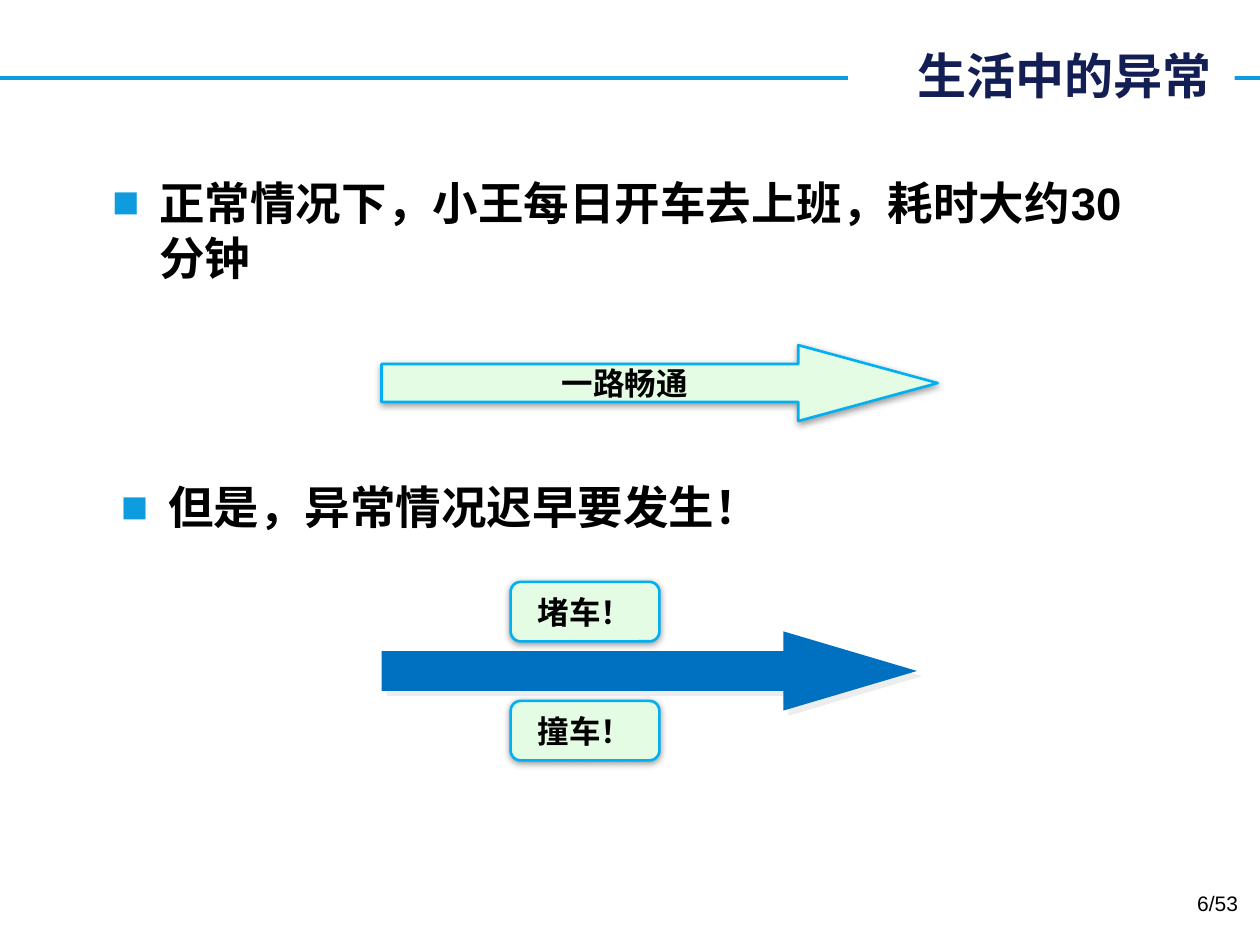
from lxml.etree import SubElement
from pptx import Presentation
from pptx.dml.color import RGBColor
from pptx.enum.shapes import MSO_CONNECTOR as Connector
from pptx.enum.shapes import MSO_SHAPE as Shape
from pptx.enum.text import MSO_ANCHOR as Anchor
from pptx.enum.text import PP_ALIGN as Align
from pptx.oxml.ns import qn
from pptx.util import Pt

COLORS = {
    "background": "FFFFFF",
    "rule": "0E9CDE",
    "title": "121E54",
    "text": "000000",
    "mint": "E4FCE4",
    "outline": "00B0F0",
    "blue": "0070C0",
    "gray": "DDDDDD",
}
CJK_FONT = "Noto Sans CJK SC"
TITLE = {"size": Pt(28), "bold": True, "name": CJK_FONT}
BODY = {"size": Pt(26), "bold": True, "name": "Arial"}
LABEL = {"size": Pt(18), "bold": True, "name": "Arial"}
PAGE = {"size": Pt(12), "bold": False, "name": "Arial"}
SOFT_SHADOW = {"color": "text", "opacity": 40, "blur": 4, "distance": 1, "angle": 90}
HARD_SHADOW = {"color": "gray", "opacity": 50, "blur": 0, "distance": 4.2, "angle": 45}


def rgb(name):
    return RGBColor.from_string(COLORS[name])


def write(shape, text, style, align, color="text", anchor=Anchor.MIDDLE):
    frame = shape.text_frame
    frame.word_wrap = True
    frame.vertical_anchor = anchor
    paragraph = frame.paragraphs[0]
    paragraph.alignment = align
    run = paragraph.add_run()
    run.text = text
    for name, value in style.items():
        setattr(run.font, name, value)
    run.font.color.rgb = rgb(color)
    SubElement(run.font._element, qn("a:ea"), typeface=CJK_FONT)
    return paragraph


def add_text(slide, box, text, style, align, **options):
    shape = slide.shapes.add_textbox(*map(Pt, box))
    return write(shape, text, style, align, **options)


def add_bullet(slide, box, text):
    paragraph = add_text(slide, box, text, BODY, Align.LEFT, anchor=Anchor.TOP)
    paragraph.line_spacing = Pt(31.4)
    properties = paragraph._p.get_or_add_pPr()
    properties.set("marL", str(Pt(27)))
    properties.set("indent", str(-Pt(27)))
    color = SubElement(properties, qn("a:buClr"))
    SubElement(color, qn("a:srgbClr"), val=COLORS["rule"])
    SubElement(properties, qn("a:buFont"), typeface="Arial")
    SubElement(properties, qn("a:buChar"), char="■")


def add_shadow(shape, style):
    shape.shadow.inherit = False
    effects = shape._element.spPr.find(qn("a:effectLst"))
    shadow = SubElement(
        effects, qn("a:outerShdw"), blurRad=str(Pt(style["blur"])),
        dist=str(Pt(style["distance"])), dir=str(style["angle"] * 60000),
        algn="ctr", rotWithShape="0")
    color = SubElement(shadow, qn("a:srgbClr"), val=COLORS[style["color"]])
    SubElement(color, qn("a:alpha"), val=str(style["opacity"] * 1000))


def add_block(slide, kind, box, adjustments, fill, shadow=None, outline=None):
    shape = slide.shapes.add_shape(kind, *map(Pt, box))
    for index, value in enumerate(adjustments):
        shape.adjustments[index] = value
    shape.fill.solid()
    shape.fill.fore_color.rgb = rgb(fill)
    if outline:
        shape.line.color.rgb = rgb(outline)
        shape.line.width = Pt(1.5)
    else:
        shape.line.fill.background()
    if shadow:
        add_shadow(shape, shadow)
    else:
        shape.shadow.inherit = False
    return shape


def add_label(slide, kind, box, adjustments, text):
    shape = add_block(slide, kind, box, adjustments, "mint", SOFT_SHADOW, "outline")
    write(shape, text, LABEL, Align.CENTER)


def add_header(slide, text):
    rule = slide.shapes.add_connector(Connector.STRAIGHT, 0, Pt(44.8), Pt(720), Pt(44.8))
    rule.line.color.rgb = rgb("rule")
    rule.line.width = Pt(2.25)
    SubElement(rule._element.spPr, qn("a:effectLst"))
    title = add_block(slide, Shape.RECTANGLE, (484.6, 22.3, 221, 41), (), "background")
    write(title, text, TITLE, Align.RIGHT, "title")


def main():
    presentation = Presentation()
    presentation.slide_width, presentation.slide_height = Pt(720), Pt(540)
    slide = presentation.slides.add_slide(presentation.slide_layouts[6])
    slide.background.fill.solid()
    slide.background.fill.fore_color.rgb = rgb("background")

    add_header(slide, "生活中的异常 ")
    add_bullet(slide, (57, 96, 602, 394), "正常情况下，小王每日开车去上班，耗时大约30分钟")
    add_bullet(slide, (62, 270, 612, 45), "但是，异常情况迟早要发生！")
    add_label(slide, Shape.RIGHT_ARROW, (218, 197.2, 317.8, 43.4), (0.5, 1.835), "一路畅通")
    add_block(slide, Shape.RIGHT_ARROW, (218, 360.8, 306, 45.3), (0.5, 1.687),
              "blue", HARD_SHADOW)
    for top, text in ((332.5, "堵车！"), (400.5, "撞车！")):
        add_label(slide, Shape.ROUNDED_RECTANGLE, (291.8, top, 85, 34), (0.167,), text)
    add_text(slide, (546.5, 505.5, 168, 29), "6/53", PAGE, Align.RIGHT, anchor=Anchor.TOP)
    presentation.save("out.pptx")


if __name__ == "__main__":
    main()
